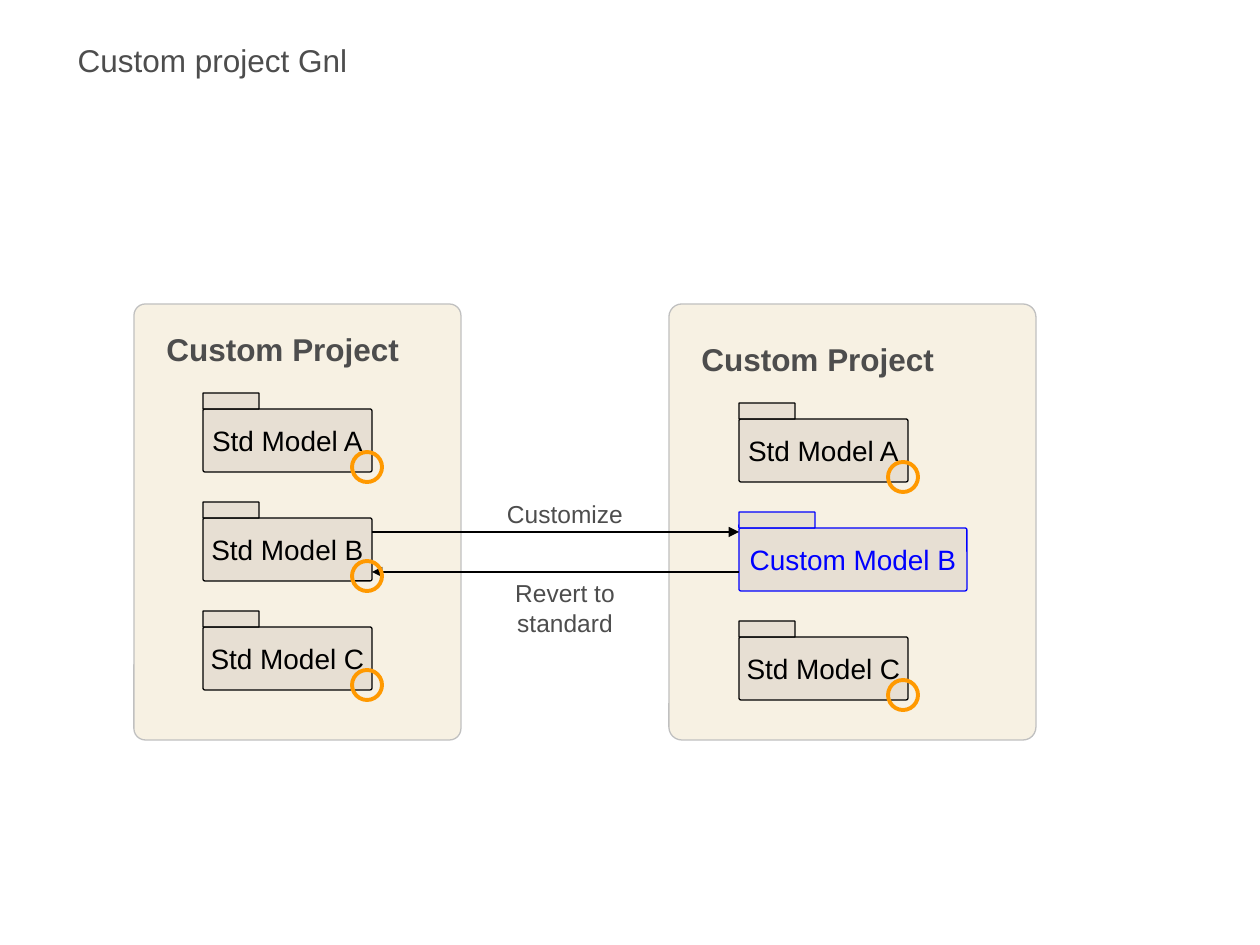
"""Build a slide showing how a standard model is customized and reverted."""
from dataclasses import dataclass

from lxml import etree
from pptx import Presentation
from pptx import util as u
from pptx.dml.color import RGBColor
from pptx.enum import shapes, text
from pptx.oxml import ns

PIXELS_PER_INCH = 126
FONT = "Arial"
FOLDER_HEIGHT, FOLDER_PITCH, TAB_HEIGHT = 63, 109, 16
MARKER_SIZE, MARKER_DX, MARKER_DY = 30, 149, 43
COLORS = {
    "panel": "ECDEBB",
    "panel_line": "C0C0C0",
    "folder": "CAC0B6",
    "standard": "000000",
    "custom": "0000FF",
    "label": "4D4D4D",
    "marker": "FF9900",
}


@dataclass(frozen=True)
class Box:
    left: int
    top: int
    width: int
    height: int


@dataclass(frozen=True)
class Model:
    name: str
    width: int = 169
    color: str = "standard"


@dataclass(frozen=True)
class Project:
    panel: Box
    heading: Box
    models_left: int
    models_top: int
    models: tuple[Model, ...]


@dataclass(frozen=True)
class Transition:
    name: str
    start: int
    end: int
    y: int
    label: Box


STANDARD_A, STANDARD_B, STANDARD_C = (Model(f"Std Model {letter}") for letter in "ABC")
CUSTOM_B = Model("Custom Model B", 228, "custom")
PROJECTS = (
    Project(Box(134, 304, 327, 436), Box(154, 324, 387, 50), 203, 409,
            (STANDARD_A, STANDARD_B, STANDARD_C)),
    Project(Box(669, 304, 367, 436), Box(689, 334, 297, 50), 739, 419,
            (STANDARD_A, CUSTOM_B, STANDARD_C)),
)
TRANSITIONS = (
    Transition("Customize", 372, 739, 532, Box(461, 493, 208, 42)),
    Transition("Revert to standard", 739, 372, 572, Box(461, 572, 208, 72)),
)


def px(length: int) -> u.Emu:
    return u.Emu(round(length * 914400 / PIXELS_PER_INCH))


def place(box: Box) -> tuple[u.Emu, ...]:
    return px(box.left), px(box.top), px(box.width), px(box.height)


def rgb(name: str) -> RGBColor:
    return RGBColor.from_string(COLORS[name])


def write(shape, words: str, size: int, color: str = "label", bold: bool = False,
          align=text.PP_ALIGN.CENTER, wrap: bool = True) -> None:
    shape.text_frame.word_wrap = wrap
    paragraph = shape.text_frame.paragraphs[0]
    paragraph.text = words
    paragraph.alignment = align
    font = paragraph.font
    font.name, font.size, font.bold = FONT, u.Pt(size), bold
    font.color.rgb = rgb(color)


def add_label(slide, box: Box, words: str, size: int, **style) -> None:
    shape = slide.shapes.add_textbox(*place(box))
    write(shape, words, size, **style)
    shape.text_frame.auto_size = text.MSO_AUTO_SIZE.SHAPE_TO_FIT_TEXT


def add_rounded(parent, box: Box, fill: str, opacity: int, line: str, corner: float):
    shape = parent.shapes.add_shape(shapes.MSO_SHAPE.ROUNDED_RECTANGLE, *place(box))
    shape.adjustments[0] = corner
    shape.shadow.inherit = False
    shape.fill.solid()
    shape.fill.fore_color.rgb = rgb(fill)
    color = shape.fill._xPr.find(".//" + ns.qn("a:srgbClr"))
    etree.SubElement(color, ns.qn("a:alpha"), val=str(opacity * 1000))
    shape.line.color.rgb = rgb(line)
    shape.line.width = u.Pt(0.75)
    return shape


def add_folder(slide, model: Model, left: int, top: int) -> None:
    group = slide.shapes.add_group_shape()
    body = Box(left, top, model.width, FOLDER_HEIGHT)
    tab = Box(left, top - TAB_HEIGHT, round(model.width / 3), TAB_HEIGHT)
    shape = add_rounded(group, body, "folder", 35, model.color, 0.03)
    shape.text_frame.vertical_anchor = text.MSO_ANCHOR.MIDDLE
    write(shape, model.name, 16, model.color, wrap=False)
    add_rounded(group, tab, "folder", 35, model.color, 0.03)


def add_marker(slide, left: int, top: int) -> None:
    box = Box(left + MARKER_DX, top + MARKER_DY, MARKER_SIZE, MARKER_SIZE)
    shape = slide.shapes.add_shape(shapes.MSO_SHAPE.OVAL, *place(box))
    shape.shadow.inherit = False
    shape.fill.background()
    shape.line.color.rgb = rgb("marker")
    shape.line.width = u.Pt(2.25)


def add_transition(slide, transition: Transition) -> None:
    y = px(transition.y)
    arrow = slide.shapes.add_connector(
        shapes.MSO_CONNECTOR.STRAIGHT, px(transition.start), y, px(transition.end), y)
    arrow.line.color.rgb = rgb("standard")
    arrow.line.width = u.Pt(1)
    etree.SubElement(arrow.line._get_or_add_ln(), ns.qn("a:tailEnd"), type="triangle")
    etree.SubElement(arrow._element.spPr, ns.qn("a:effectLst"))
    add_label(slide, transition.label, transition.name, 14)


def add_project(slide, project: Project) -> None:
    add_rounded(slide, project.panel, "panel", 40, "panel_line", 0.035)
    add_label(slide, project.heading, "Custom Project", 18, bold=True,
              align=text.PP_ALIGN.LEFT)
    for row, model in enumerate(project.models):
        add_folder(slide, model, project.models_left,
                   project.models_top + row * FOLDER_PITCH)


def add_markers(slide, project: Project) -> None:
    for row, model in enumerate(project.models):
        if model.color == "standard":
            add_marker(slide, project.models_left,
                       project.models_top + row * FOLDER_PITCH)


def main() -> None:
    presentation = Presentation()
    presentation.slide_width, presentation.slide_height = px(1260), px(945)
    slide = presentation.slides.add_slide(presentation.slide_layouts[5])
    title = slide.shapes.title
    title.left, title.top, title.width, title.height = place(Box(65, 35, 295, 50))
    title.text_frame.auto_size = text.MSO_AUTO_SIZE.NONE
    write(title, "Custom project Gnl", 18, wrap=False)
    for project in PROJECTS:
        add_project(slide, project)
    for transition in TRANSITIONS:
        add_transition(slide, transition)
    for project in PROJECTS:
        add_markers(slide, project)
    presentation.save("out.pptx")


if __name__ == "__main__":
    main()
